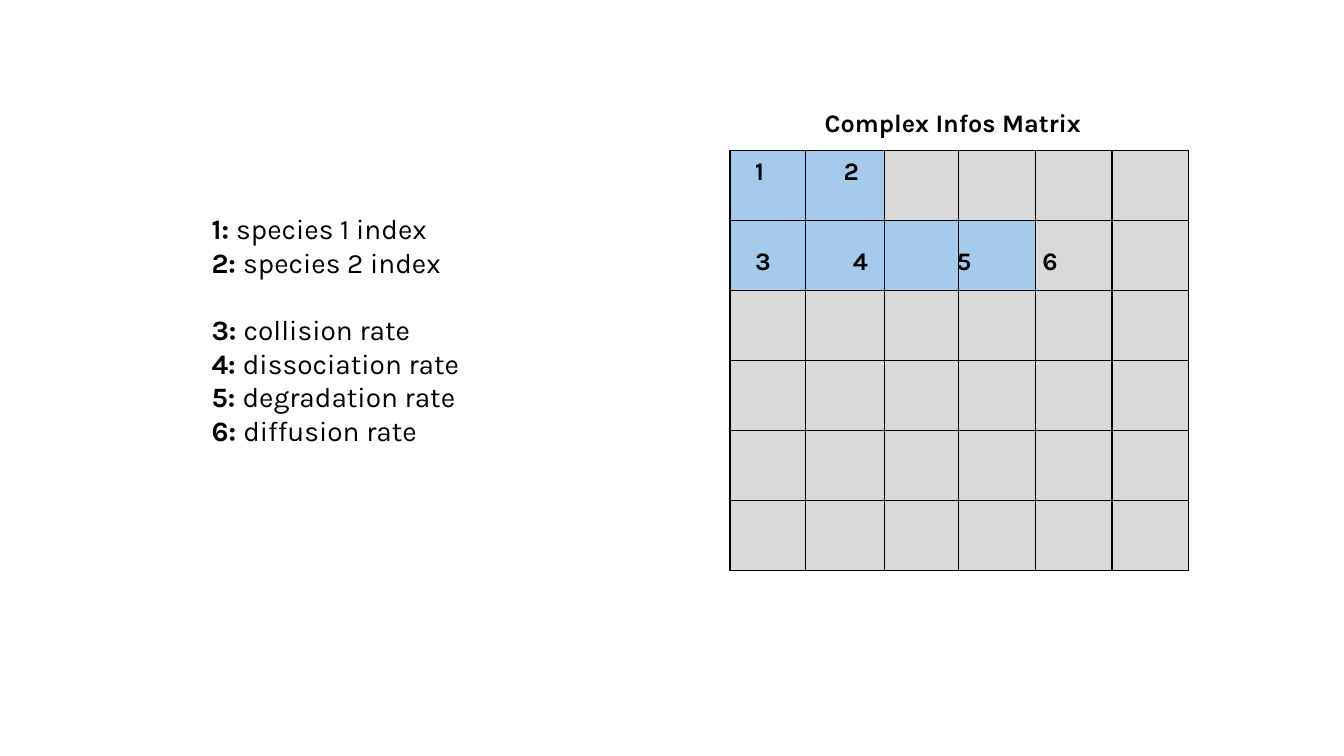
from pptx import Presentation
from pptx.dml.color import RGBColor
from pptx.enum.text import MSO_ANCHOR, MSO_AUTO_SIZE, PP_ALIGN
from pptx.oxml.ns import qn
from pptx.util import Inches, Pt
from lxml.etree import SubElement

BLACK = RGBColor(0x00, 0x00, 0x00)
BLUE = RGBColor(0xA6, 0xCA, 0xEC)
GREY = RGBColor(0xD9, 0xD9, 0xD9)

COLUMN_WIDTHS = [0.75, 0.78, 0.74, 0.76, 0.76, 0.76]
ROW_COUNT = 6
TABLE_HEIGHT = 4.17
BLUE_CELLS_PER_ROW = {0: 2, 1: 4}
LEGEND = [
    ("1: ", "species 1 index", 0),
    ("2: ", "species 2 index", 0),
    ("3: ", "collision rate", 24),
    ("4: ", "dissociation rate", 0),
    ("5: ", "degradation rate", 0),
    ("6: ", "diffusion rate", 0),
]


class MatrixSlide:
    """Holds the text style and the slide, and adds each kind of element."""

    font = {"name": "Karla", "size": Pt(18), "bold": True}

    def __init__(self, prs):
        self.s = prs.slides.add_slide(prs.slide_layouts[5])

    def frame(self, sp):
        tf = sp.text_frame
        settings = {"word_wrap": True, "auto_size": MSO_AUTO_SIZE.NONE,
                    "vertical_anchor": MSO_ANCHOR.TOP}
        for key, value in settings.items():
            setattr(tf, key, value)
        return tf

    def run(self, p, text, **changes):
        r = p.add_run()
        r.text = text
        for key, value in {**self.font, **changes}.items():
            setattr(r.font, key, value)
        r.font.color.rgb = BLACK

    def title(self, text, left, top, width, height):
        sp = self.s.shapes.title
        box = {"left": left, "top": top, "width": width, "height": height}
        for key, value in box.items():
            setattr(sp, key, Inches(value))
        p = self.frame(sp).paragraphs[0]
        p.alignment = PP_ALIGN.LEFT
        self.run(p, text)

    def text(self, left, top, width, height):
        box = [Inches(v) for v in (left, top, width, height)]
        return self.frame(self.s.shapes.add_textbox(*box))

    def numbers(self, p, text, stops):
        tabs = SubElement(p._p.get_or_add_pPr(), qn("a:tabLst"))
        for stop in stops:
            SubElement(tabs, qn("a:tab"), pos=str(Inches(stop)), algn="l")
        self.run(p, text)

    def legend(self, tf, entries):
        for i, (number, meaning, gap) in enumerate(entries):
            p = tf.add_paragraph() if i else tf.paragraphs[0]
            if gap:
                p.space_before = Pt(gap)
            self.run(p, number, size=Pt(20))
            self.run(p, meaning, size=Pt(20), bold=False)

    def cell(self, cell, color):
        tcPr = cell._tc.get_or_add_tcPr()
        for side in ("a:lnL", "a:lnR", "a:lnT", "a:lnB"):
            ln = SubElement(tcPr, qn(side), w=str(Pt(1)))
            fill = SubElement(ln, qn("a:solidFill"))
            SubElement(fill, qn("a:srgbClr"), val=str(BLACK))
        cell.fill.solid()
        cell.fill.fore_color.rgb = color

    def matrix(self, left, top):
        table = self.s.shapes.add_table(
            ROW_COUNT, len(COLUMN_WIDTHS), Inches(left), Inches(top),
            Inches(sum(COLUMN_WIDTHS)), Inches(TABLE_HEIGHT)).table
        table.first_row = table.horz_banding = False
        for column, width in zip(table.columns, COLUMN_WIDTHS):
            column.width = Inches(width)
        for i, row in enumerate(table.rows):
            row.height = Inches(TABLE_HEIGHT / ROW_COUNT)
            for j, cell in enumerate(row.cells):
                self.cell(cell, BLUE if j < BLUE_CELLS_PER_ROW.get(i, 0) else GREY)


def main():
    prs = Presentation()
    prs.slide_width, prs.slide_height = Inches(13.33), Inches(7.5)
    slide = MatrixSlide(prs)
    slide.title("Complex Infos Matrix", 8.08, 1.01, 4.55, 0.4)
    slide.matrix(7.24, 1.49)
    tf = slide.text(7.39, 1.49, 5, 1.31)
    slide.numbers(tf.paragraphs[0], "1\t2", [0.88])
    p = tf.add_paragraph()
    slide.numbers(p, "3\t4\t5\t6", [0.97, 2, 2.85])
    p.space_before = Pt(43)
    slide.legend(slide.text(2, 2.05, 4.77, 3.06), LEGEND)
    prs.save("out.pptx")


if __name__ == "__main__":
    main()
